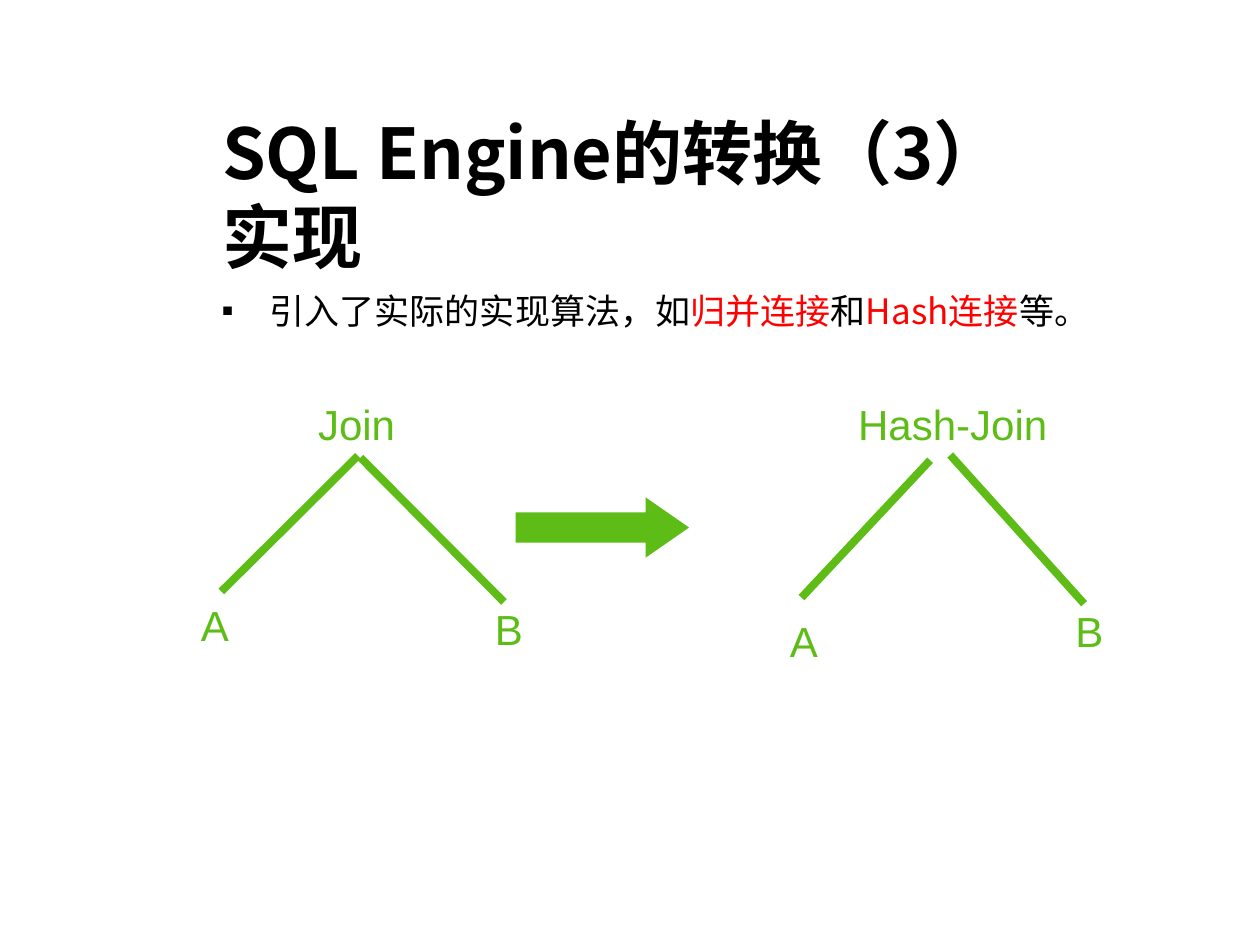
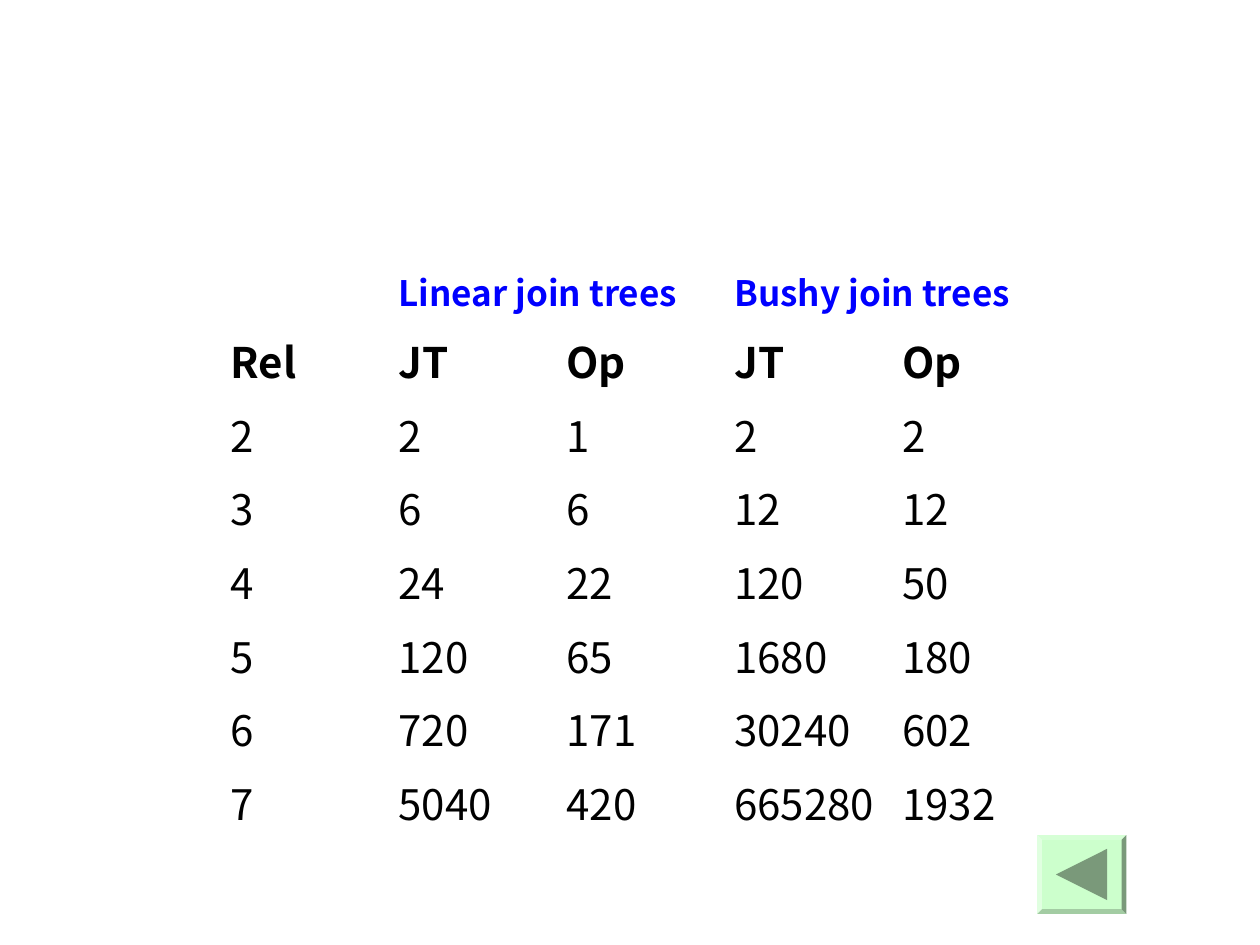
from dataclasses import dataclass
from typing import NamedTuple

from lxml import etree
from pptx import Presentation
from pptx.dml.color import RGBColor
from pptx.enum.shapes import MSO_CONNECTOR, MSO_SHAPE
from pptx.enum.text import MSO_ANCHOR, PP_ALIGN
from pptx.oxml.ns import qn
from pptx.util import Pt

STRAIGHT = MSO_CONNECTOR.STRAIGHT
RIGHT_ARROW = MSO_SHAPE.RIGHT_ARROW
BEVEL = MSO_SHAPE.BEVEL
TOP, MIDDLE, BOTTOM = MSO_ANCHOR.TOP, MSO_ANCHOR.MIDDLE, MSO_ANCHOR.BOTTOM
LEFT, CENTER = PP_ALIGN.LEFT, PP_ALIGN.CENTER


@dataclass(frozen=True)
class Theme:
    heading_font: str = "Noto Sans CJK SC"
    label_font: str = "Arial"
    ink: str = "000000"
    accent: str = "FF0000"
    tree: str = "5DBC16"
    group: str = "0000FF"
    grid: str = "FFFFFF"
    button: str = "CCFFCC"
    button_mark: str = "7A997A"
    title_size: float = 40
    body_size: float = 20
    label_size: float = 24
    branch_width: float = 4.5
    inner_border: float = 0.45
    outer_border: float = 1.08


THEME = Theme()


class Box(NamedTuple):
    left: float
    top: float
    width: float
    height: float

    def lengths(self) -> list:
        return [Pt(value) for value in self]


class Run(NamedTuple):
    text: str
    size: float
    color: str = THEME.ink
    bold: bool = False
    font: str = THEME.heading_font


class Branch(NamedTuple):
    x1: float
    y1: float
    x2: float
    y2: float


class Label(NamedTuple):
    text: str
    box: Box


@dataclass(frozen=True)
class JoinTree:
    labels: tuple
    branches: tuple


JOIN_TREES = (
    JoinTree(
        (
            Label("Join", Box(165.6, 218.9, 76.3, 46.8)),
            Label("A", Box(88.6, 333.8, 68.4, 46.8)),
            Label("B", Box(261.7, 339.8, 58.3, 38.9)),
        ),
        (Branch(204.5, 260.5, 126.5, 338), Branch(206, 261.5, 288, 344)),
    ),
    JoinTree(
        (
            Label("Hash-Join", Box(479.4, 218.9, 130, 46.8)),
            Label("A", Box(436.3, 349.5, 46.1, 33.8)),
            Label("B", Box(601.2, 346.6, 42.5, 28.1)),
        ),
        (Branch(531.5, 263, 458, 341.5), Branch(543, 260, 619.5, 345)),
    ),
)

JOIN_COUNTS = (
    ("Rel", "JT", "Op", "JT", "Op"),
    (2, 2, 1, 2, 2),
    (3, 6, 6, 12, 12),
    (4, 24, 22, 120, 50),
    (5, 120, 65, 1680, 180),
    (6, 720, 171, 30240, 602),
    (7, 5040, 420, 665280, 1932),
)
GROUP_HEADINGS = {1: "Linear join trees", 3: "Bushy join trees"}


def rgb(color: str) -> RGBColor:
    return RGBColor.from_string(color)


def add_run(paragraph, content: Run) -> None:
    run = paragraph.add_run()
    run.text = content.text
    font = run.font
    font.size = Pt(content.size)
    font.bold = content.bold
    font.color.rgb = rgb(content.color)
    font.name = content.font
    etree.SubElement(font._element, qn("a:ea"), typeface=content.font)


def add_text_frame(slide, box: Box, anchor, wrap: bool = True):
    frame = slide.shapes.add_textbox(*box.lengths()).text_frame
    frame.word_wrap = wrap
    frame.vertical_anchor = anchor
    return frame


def add_title(slide, lines: tuple) -> None:
    heading = add_text_frame(slide, Box(120, 54, 558, 108), BOTTOM).paragraphs[0]
    heading.line_spacing = Pt(48)
    for number, line in enumerate(lines):
        if number:
            heading.add_line_break()
        add_run(heading, Run(line, THEME.title_size, bold=True))


def add_bullet(slide, box: Box, runs: tuple) -> None:
    point = add_text_frame(slide, box, TOP).paragraphs[0]
    properties = point._p.get_or_add_pPr()
    properties.set("marL", str(Pt(27)))
    properties.set("indent", str(-Pt(27)))
    bullet_color = etree.SubElement(properties, qn("a:buClr"))
    etree.SubElement(bullet_color, qn("a:srgbClr"), val=THEME.ink)
    etree.SubElement(properties, qn("a:buSzPct"), val="50000")
    etree.SubElement(properties, qn("a:buFont"), typeface=THEME.label_font)
    etree.SubElement(properties, qn("a:buChar"), char="■")
    for run in runs:
        add_run(point, run)


def add_label(slide, label: Label) -> None:
    caption = add_text_frame(slide, label.box, MIDDLE, wrap=False).paragraphs[0]
    caption.alignment = CENTER
    add_run(caption, Run(label.text, THEME.label_size, THEME.tree, font=THEME.label_font))


def add_branch(slide, branch: Branch) -> None:
    line = slide.shapes.add_connector(STRAIGHT, *[Pt(value) for value in branch])
    line.line.color.rgb = rgb(THEME.tree)
    line.line.width = Pt(THEME.branch_width)
    etree.SubElement(line._element.spPr, qn("a:effectLst"))


def paint(shape, color: str) -> None:
    shape.shadow.inherit = False
    shape.fill.solid()
    shape.fill.fore_color.rgb = rgb(color)
    shape.line.fill.background()


def add_preset(slide, preset, box: Box, color: str, adjustments: tuple) -> None:
    shape = slide.shapes.add_shape(preset, *box.lengths())
    for index, value in enumerate(adjustments):
        shape.adjustments[index] = value
    paint(shape, color)


def add_join_tree(slide, tree: JoinTree) -> None:
    for label in tree.labels:
        add_label(slide, label)
    for branch in tree.branches:
        add_branch(slide, branch)


def style_cell(cell, row: int, column: int, last_row: int, last_column: int) -> None:
    properties = cell._tc.get_or_add_tcPr()
    outer_sides = {
        "a:lnL": column == 0,
        "a:lnR": column == last_column,
        "a:lnT": row == 0,
        "a:lnB": row == last_row,
    }
    for side, is_outer in outer_sides.items():
        width = THEME.outer_border if is_outer else THEME.inner_border
        border = etree.SubElement(properties, qn(side), w=str(Pt(width)))
        fill = etree.SubElement(border, qn("a:solidFill"))
        etree.SubElement(fill, qn("a:srgbClr"), val=THEME.grid)
    cell.fill.background()


def add_count_table(slide, box: Box) -> None:
    row_count, column_count = len(JOIN_COUNTS) + 1, len(JOIN_COUNTS[0])
    table = slide.shapes.add_table(row_count, column_count, *box.lengths()).table
    table.first_row = table.horz_banding = False
    for column in table.columns:
        column.width = Pt(box.width / column_count)
    for row in table.rows:
        row.height = Pt(36.72)
    table.rows[row_count - 1].height = Pt(64.8)
    for row in range(row_count):
        for column in range(column_count):
            style_cell(table.cell(row, column), row, column, row_count - 1, column_count - 1)
    for column, heading in GROUP_HEADINGS.items():
        cell = table.cell(0, column)
        cell.merge(table.cell(0, column + 1))
        add_run(cell.text_frame.paragraphs[0], Run(heading, THEME.body_size, THEME.group, True))
    for row, counts in enumerate(JOIN_COUNTS, start=1):
        for column, count in enumerate(counts):
            paragraph = table.cell(row, column).text_frame.paragraphs[0]
            paragraph.alignment = LEFT
            add_run(paragraph, Run(str(count), THEME.label_size, bold=row == 1))


def add_back_button(slide) -> None:
    add_preset(slide, BEVEL, Box(592.6, 477.2, 51, 45), THEME.button, (0.06,))
    tip, upper, lower = [(Pt(x), Pt(y)) for x, y in ((603.4, 499.7), (632.7, 485), (632.7, 514.4))]
    outline = slide.shapes.build_freeform(*tip)
    outline.add_line_segments([upper, lower], close=True)
    paint(outline.convert_to_shape(), THEME.button_mark)


def build_conversion_slide(slide) -> None:
    add_title(slide, ("SQL Engine的转换（3）", "实现"))
    size = THEME.body_size
    add_bullet(
        slide,
        Box(120, 162, 558, 276),
        (
            Run("引入了实际的实现算法，如", size),
            Run("归并连接", size, THEME.accent),
            Run("和", size),
            Run("Hash连接", size, THEME.accent),
            Run("等。", size),
        ),
    )
    for tree in JOIN_TREES:
        add_join_tree(slide, tree)
    add_preset(slide, RIGHT_ARROW, Box(294.7, 284.2, 99.1, 34.5), THEME.tree, (0.5, 0.72))


def build_count_slide(slide) -> None:
    add_count_table(slide, Box(124.5, 148.3, 480, 319.7))
    add_back_button(slide)


def main() -> None:
    deck = Presentation()
    deck.slide_width, deck.slide_height = Pt(720), Pt(540)
    blank = deck.slide_layouts[6]
    for build in (build_conversion_slide, build_count_slide):
        build(deck.slides.add_slide(blank))
    deck.save("out.pptx")


if __name__ == "__main__":
    main()
